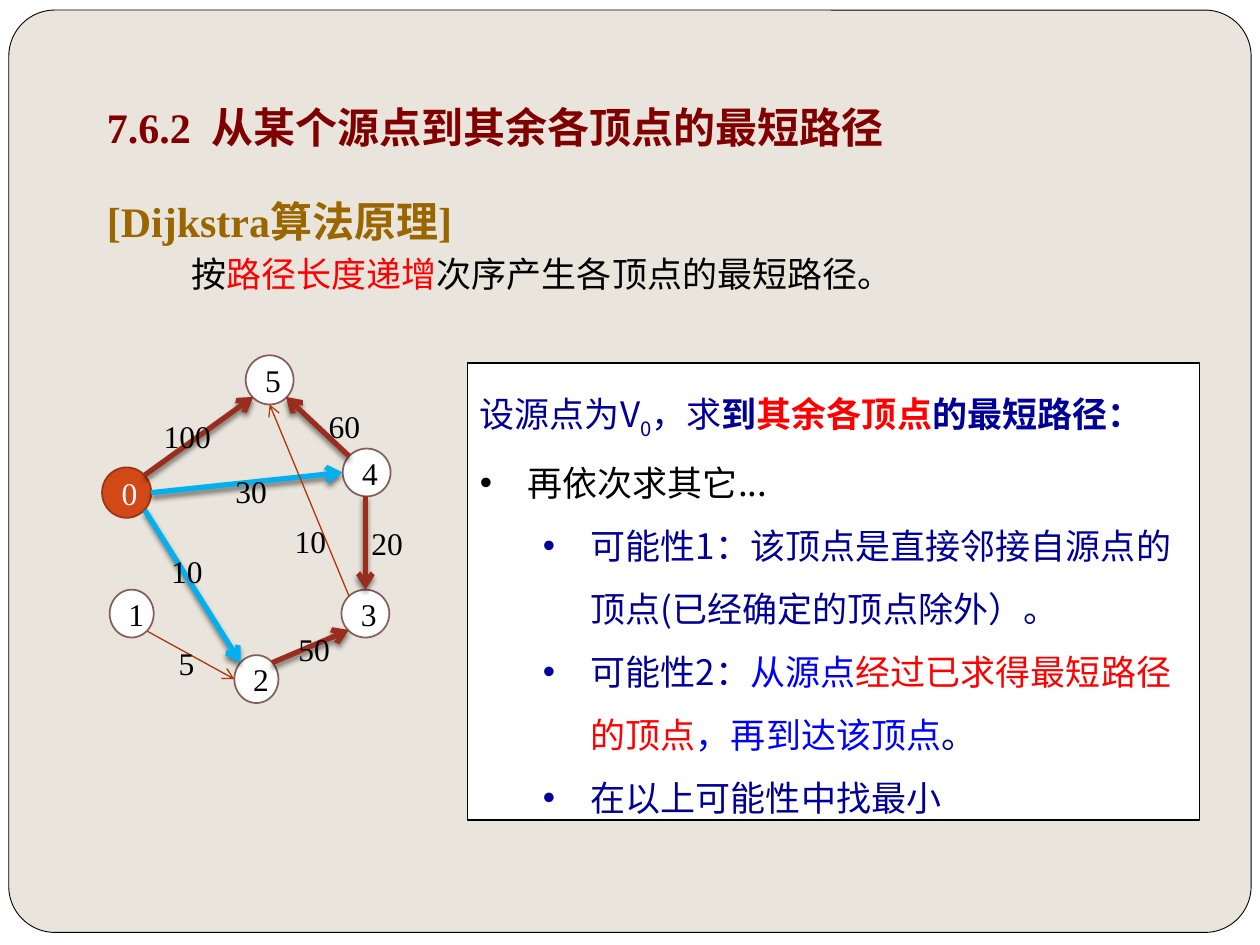
from lxml import etree
from pptx import Presentation, util as u
from pptx.dml.color import RGBColor
from pptx.enum import shapes, text
from pptx.oxml import parse_xml
from pptx.oxml.ns import qn

PX = 9144  # 100 px to the inch
ROMAN, SANS = "Times New Roman", "Noto Sans CJK SC"
NS = 'xmlns:a="http://schemas.openxmlformats.org/drawingml/2006/main"'
SHADOW = (f'<a:effectLst {NS}><a:outerShdw blurRad="38100" dist="25400" dir="5400000">'
          '<a:srgbClr val="000000"><a:alpha val="50000"/></a:srgbClr>'
          '</a:outerShdw></a:effectLst>')
KINDS = shapes.MSO_SHAPE
hue = RGBColor.from_string


def write(par, runs, size, font):
    """Add runs given as (words, colour, bold, baseline), the last two optional."""
    for words, color, *more in runs:
        run = par.add_run()
        run.text = words
        run.font.size = u.Pt(size)
        run.font.name = font
        run.font.color.rgb = hue(color)
        run.font.bold = bool(more and more[0])
        props = run.font._element
        etree.SubElement(props, qn("a:ea")).set("typeface", SANS)
        if len(more) > 1:
            props.set("baseline", str(more[1]))


def draw(kind, at, fill, line, width):
    item = slide.shapes.add_shape(kind, *(n * PX for n in at))
    item.shadow.inherit = False
    item.fill.solid()
    item.fill.fore_color.rgb = hue(fill)
    item.line.color.rgb = hue(line)
    item.line.width = u.Pt(width)
    return item


deck = Presentation()
deck.slide_width, deck.slide_height = 1000 * PX, 750 * PX
slide = deck.slides.add_slide(deck.slide_layouts[6])

panel = draw(KINDS.ROUNDED_RECTANGLE, (7, 8, 986, 732), "E9E5DC", "000000", 0.5)
panel.adjustments[0] = 0.05

# Heading
frame = slide.shapes.add_textbox(75 * PX, 67 * PX, 850 * PX, 67 * PX).text_frame
frame.word_wrap = True
frame.vertical_anchor = text.MSO_ANCHOR.MIDDLE
write(frame.paragraphs[0], [("7.6.2  从某个源点到其余各顶点的最短路径", "800000", True)], 24, ROMAN)

# Principle
frame = slide.shapes.add_textbox(75 * PX, 150 * PX, 850 * PX, 517 * PX).text_frame
frame.word_wrap = True
write(frame.paragraphs[0], [("[Dijkstra算法原理]", "996600", True)], 24, ROMAN)
par = frame.add_paragraph()
par.space_before = u.Pt(4)
par._p.get_or_add_pPr().set("indent", str(67 * PX))
write(par, [("按", "000000"), ("路径长度递增", "FF0000"),
            ("次序产生各顶点的最短路径。", "000000")], 20, ROMAN)

# Method: (left margin, runs), with no bullet where the margin is 0
NAVY, BLUE, RED = "000099", "0000FF", "FF0000"
steps = [
    (0, [("设源点为V", NAVY), ("0", NAVY, False, -25000), ("，求", NAVY), ("到", NAVY, True),
         ("其余各顶点", RED, True), ("的最短路径：", NAVY, True)]),
    (38, [("再依次求其它...", "000000")]),
    (88, [("可能性1：该顶点是直接邻接自源点的顶点(已经确定的顶点除外）。", NAVY)]),
    (88, [("可能性2：", NAVY), ("从源点", BLUE), ("经过已求得最短路径的顶点", RED),
          ("，再到达该顶点", BLUE), ("。", NAVY)]),
    (88, [("在以上可能性中找最小", NAVY)]),
]
frame = draw(KINDS.RECTANGLE, (371, 288, 581, 363), "FFFFFF", "000000", 1).text_frame
frame.word_wrap = True
frame.vertical_anchor = text.MSO_ANCHOR.TOP
for i, (left, runs) in enumerate(steps):
    par = frame.add_paragraph() if i else frame.paragraphs[0]
    par.alignment = text.PP_ALIGN.LEFT
    par.line_spacing = 1.5
    if left:
        par.level = int(left > 38)
        props = par._p.get_or_add_pPr()
        props.set("marL", str(left * PX))
        props.set("indent", str(-38 * PX))
        etree.SubElement(props, qn("a:buFont")).set("typeface", "Arial")
        etree.SubElement(props, qn("a:buChar")).set("char", "•")
    write(par, runs, 20, SANS)

# Graph vertices, in order of their numbers
spots = [(81, 371, 39, 40), (87, 468, 35, 38), (186, 520, 35, 38),
         (271, 468, 38, 38), (272, 356, 38, 38), (195, 282, 38, 39)]
for i, at in enumerate(spots):
    fill, line, ink = ("FFFFFF", "855D5D", "000000") if i else ("D34817", "9C3511", "FFFFFF")
    frame = draw(KINDS.OVAL, at, fill, line, 1).text_frame
    frame.vertical_anchor = text.MSO_ANCHOR.MIDDLE
    frame.paragraphs[0].alignment = text.PP_ALIGN.CENTER
    write(frame.paragraphs[0], [(str(i), ink)], 18, ROMAN)

# Graph edges: ends, colour, weight, place of the weight
BROWN, SKY, THIN = "9B2D1F", "00B0F0", "B1360B"
edges = [
    ((115, 377, 201, 315), BROWN, "100", (120, 326)),
    ((277, 362, 227, 315), BROWN, "60", (251, 318)),
    ((120, 391, 272, 375), SKY, "30", (177, 370)),
    ((290, 394, 290, 468), BROWN, "20", (285, 411)),
    ((277, 473, 214, 321), THIN, "10", (224, 409)),
    ((115, 405, 191, 526), SKY, "10", (126, 433)),
    ((117, 501, 186, 539), THIN, "5", (132, 506)),
    ((216, 526, 277, 500), BROWN, "50", (227, 495)),
]
for ends, color, weight, (x, y) in edges:
    edge = slide.shapes.add_connector(shapes.MSO_CONNECTOR.STRAIGHT, *(n * PX for n in ends))
    edge.line.color.rgb = hue(color)
    edge.line.width = u.Pt(0.75 if color == THIN else 3)
    etree.SubElement(edge.line._get_or_add_ln(), qn("a:tailEnd")).set("type", "arrow")
    glow = f"<a:effectLst {NS}/>" if color == THIN else SHADOW
    edge._element.spPr.append(parse_xml(glow))
    wide = 21 + 16 * len(weight)
    frame = slide.shapes.add_textbox(x * PX, y * PX, wide * PX, 40 * PX).text_frame
    frame.word_wrap = False
    write(frame.paragraphs[0], [(weight, "000000")], 18, ROMAN)

deck.save("out.pptx")
